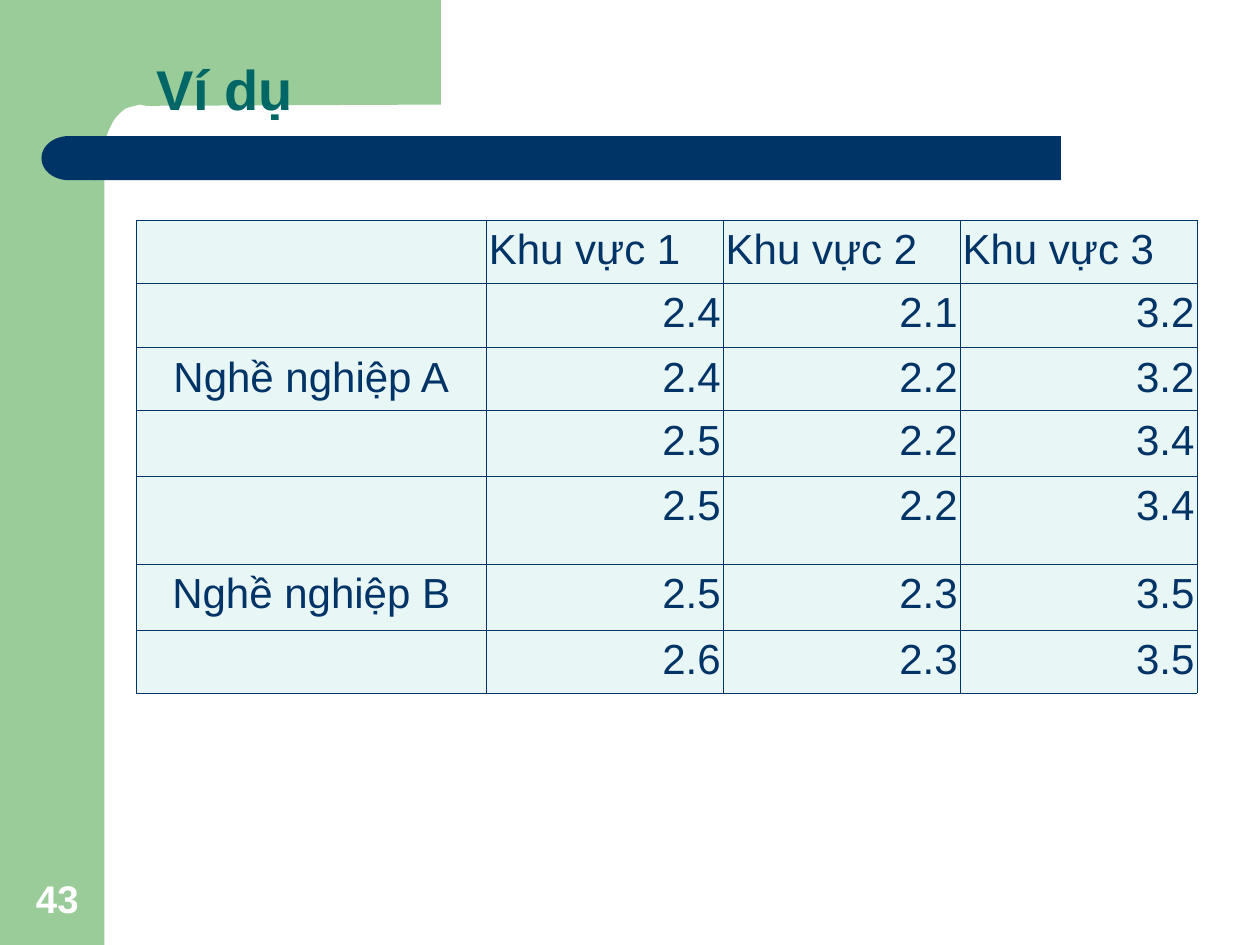
"""Build the example slide with its table of values by job and region."""
import pptx
import pptx.dml.color
import pptx.enum.shapes
import pptx.enum.text
import pptx.oxml
import pptx.oxml.ns
import pptx.util

Inches = pptx.util.Inches
KIND = pptx.enum.shapes.MSO_SHAPE
ALIGN = pptx.enum.text.PP_ALIGN
COLORS = {"green": "99CC99", "navy": "003366", "teal": "006666",
          "pale": "E8F6F6", "white": "FFFFFF"}
BEND = [(3.5, 0), (3.5, 0.83), (1.16, 0.84), (1.11, 0.83), (1.03, 0.85),
        (1, 0.86), (0.96, 0.89), (0.93, 0.92), (0.9, 0.96), (0.88, 1),
        (0.86, 1.04), (0.84, 1.1), (0.83, 1.16), (0.83, 1.28), (0.5, 1.28), (0.5, 0)]
ROWS = [
    ["", "Khu vực 1", "Khu vực 2", "Khu vực 3"],
    ["", "2.4", "2.1", "3.2"],
    ["Nghề nghiệp A", "2.4", "2.2", "3.2"],
    ["", "2.5", "2.2", "3.4"],
    ["", "2.5", "2.2", "3.4"],
    ["Nghề nghiệp B", "2.5", "2.3", "3.5"],
    ["", "2.6", "2.3", "3.5"],
]
WIDTHS = [2.78, 1.88, 1.88, 1.88]
HEIGHTS = [0.5, 0.51, 0.5, 0.52, 0.7, 0.52, 0.5]


class Deck:
    """Hold the style and the current slide."""

    def __init__(self, slide, font="Arial"):
        self.slide = slide
        self.font = font

    def color(self, name):
        return pptx.dml.color.RGBColor.from_string(COLORS[name])

    def paint(self, shape, fill):
        shape.shadow.inherit = False
        shape.fill.solid()
        shape.fill.fore_color.rgb = self.color(fill)
        shape.line.fill.background()

    def shape(self, kind, box, fill, flip=False):
        shape = self.slide.shapes.add_shape(kind, *map(Inches, box))
        self.paint(shape, fill)
        if flip:
            shape.element.spPr.get_or_add_xfrm().set("flipH", "1")
        return shape

    def outline(self, points, fill):
        start, *rest = [(Inches(x), Inches(y)) for x, y in points]
        pen = self.slide.shapes.build_freeform(*start)
        pen.add_line_segments(rest, close=True)
        self.paint(pen.convert_to_shape(), fill)

    def words(self, frame, text, size, color, align, bold=False):
        para = frame.paragraphs[0]
        para.alignment = align
        run = para.add_run()
        run.text = text
        run.font.name = self.font
        run.font.size = pptx.util.Pt(size)
        run.font.bold = bold
        run.font.color.rgb = self.color(color)
        return para

    def settle(self, frame):
        frame.word_wrap = True
        frame.auto_size = pptx.enum.text.MSO_AUTO_SIZE.NONE
        frame.vertical_anchor = pptx.enum.text.MSO_ANCHOR.BOTTOM

    def title(self, text, box):
        title = self.slide.shapes.title
        title.left, title.top, title.width, title.height = map(Inches, box)
        self.settle(title.text_frame)
        para = self.words(title.text_frame, text, 32, "teal", ALIGN.LEFT, True)
        para.line_spacing = 0.9
        self.slide.shapes.element.append(title.element)

    def label(self, text, box):
        frame = self.slide.shapes.add_textbox(*map(Inches, box)).text_frame
        self.settle(frame)
        self.words(frame, text, 22, "white", ALIGN.CENTER, True)

    def border(self, cell):
        props = cell._tc.get_or_add_tcPr()
        for side in "LRTB":
            props.append(pptx.oxml.parse_xml(
                f'<a:ln{side} {pptx.oxml.ns.nsdecls("a")} w="{pptx.util.Pt(0.45)}">'
                f'<a:solidFill><a:srgbClr val="{COLORS["navy"]}"/></a:solidFill>'
                f'</a:ln{side}>'))

    def table(self, rows, left, top, widths, heights):
        box = (left, top, sum(widths), sum(heights))
        table = self.slide.shapes.add_table(
            len(rows), len(widths), *map(Inches, box)).table
        table.first_row = table.horz_banding = False
        for col, width in zip(table.columns, widths):
            col.width = Inches(width)
        for i, (row, height) in enumerate(zip(rows, heights)):
            table.rows[i].height = Inches(height)
            for j, text in enumerate(row):
                cell = table.cell(i, j)
                self.border(cell)
                cell.fill.solid()
                cell.fill.fore_color.rgb = self.color("pale")
                cell.margin_left = cell.margin_right = Inches(0.02)
                if text:
                    align = (ALIGN.LEFT if i == 0 else
                             ALIGN.CENTER if j == 0 else ALIGN.RIGHT)
                    self.words(cell.text_frame, text, 24, "navy", align)


def main():
    prs = pptx.Presentation()
    prs.slide_width, prs.slide_height = Inches(10), Inches(7.5)
    deck = Deck(prs.slides.add_slide(prs.slide_layouts[5]))
    deck.shape(KIND.RECTANGLE, (0, 0, 0.83, 7.5), "green")
    deck.outline(BEND, "green")
    bar = deck.shape(KIND.ROUNDED_RECTANGLE, (0.75, 1.08, 7.67, 0.35), "navy")
    bar.adjustments[0] = 0
    deck.shape(KIND.FLOWCHART_DELAY, (0.33, 1.08, 0.43, 0.35), "navy", flip=True)
    deck.label("43", (0, 6.83, 0.91, 0.53))
    deck.title("Ví dụ", (1.14, 0.22, 8.63, 0.8))
    deck.table(ROWS, 1.08, 1.75, WIDTHS, HEIGHTS)
    prs.save("out.pptx")


if __name__ == "__main__":
    main()
